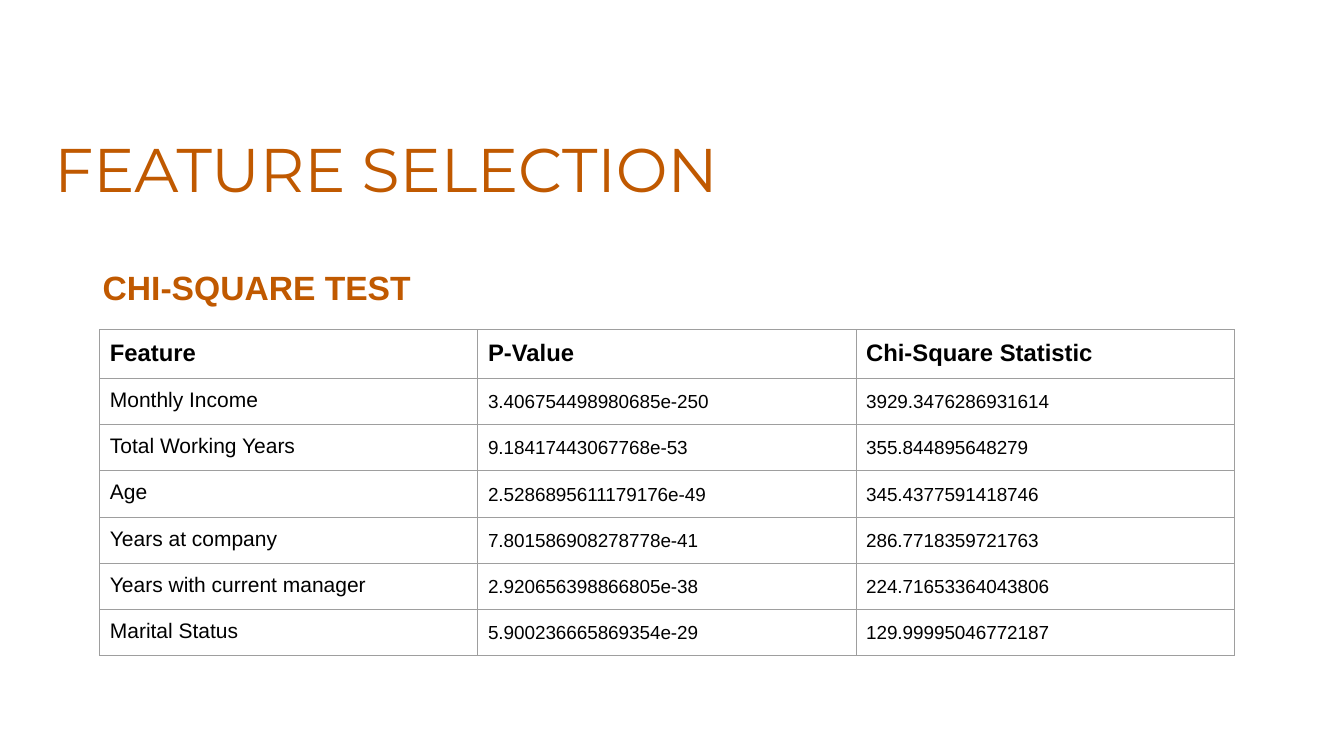
from dataclasses import dataclass
from typing import NamedTuple

from lxml.etree import SubElement
from pptx import Presentation
from pptx.dml.color import RGBColor as RGB
from pptx.enum.text import MSO_ANCHOR as Anchor
from pptx.oxml.ns import qn
from pptx.util import Inches, Pt


@dataclass(frozen=True)
class Theme:
    accent: str = "C05900"
    ink: str = "000000"
    rule: str = "9E9E9E"
    title_font: str = "Montserrat"
    body_font: str = "Arial"
    title_size: float = 44
    subtitle_size: float = 24
    header_size: float = 17
    feature_size: float = 15
    value_size: float = 13.5
    rule_width: float = 0.75


class Heading(NamedTuple):
    text: str
    left: float
    top: float
    width: float
    height: float
    font: str
    size: float
    bold: bool
    line_spacing: float


class TestResult(NamedTuple):
    feature: str
    p_value: str
    statistic: str


THEME = Theme()

HEADINGS = [
    Heading("FEATURE SELECTION", 0.44, 0.64, 11.5, 1.45,
            THEME.title_font, THEME.title_size, False, 0.9),
    Heading("CHI-SQUARE TEST", 0.92, 2.19, 5.64, 0.91,
            THEME.body_font, THEME.subtitle_size, True, 1.5),
]

COLUMN_TITLES = TestResult("Feature", "P-Value", "Chi-Square Statistic")
RESULTS = [
    TestResult("Monthly Income", "3.406754498980685e-250", "3929.3476286931614"),
    TestResult("Total Working Years", "9.18417443067768e-53", "355.844895648279"),
    TestResult("Age", "2.5286895611179176e-49", "345.4377591418746"),
    TestResult("Years at company", "7.801586908278778e-41", "286.7718359721763"),
    TestResult("Years with current manager", "2.920656398866805e-38", "224.71653364043806"),
    TestResult("Marital Status", "5.900236665869354e-29", "129.99995046772187"),
]

TABLE_LEFT, TABLE_TOP = 0.99, 3.27
COLUMN_WIDTH, ROW_HEIGHT = 3.75, 0.42
CELL_MARGIN = 0.1


def style_paragraph(paragraph, font: str, size: float, color: str, bold: bool,
                    line_spacing: float) -> None:
    paragraph.line_spacing = line_spacing
    paragraph.font.name = font
    paragraph.font.size = Pt(size)
    paragraph.font.bold = bold
    paragraph.font.color.rgb = RGB.from_string(color)


def add_heading(slide, heading: Heading) -> None:
    box = slide.shapes.add_textbox(Inches(heading.left), Inches(heading.top),
                                   Inches(heading.width), Inches(heading.height))
    frame = box.text_frame
    frame.word_wrap = True
    frame.vertical_anchor = Anchor.BOTTOM
    frame.text = heading.text
    style_paragraph(frame.paragraphs[0], heading.font, heading.size,
                    THEME.accent, heading.bold, heading.line_spacing)


def add_borders(cell) -> None:
    properties = cell._tc.get_or_add_tcPr()
    for side in ("a:lnL", "a:lnR", "a:lnT", "a:lnB"):
        line = SubElement(properties, qn(side), w=str(Pt(THEME.rule_width)))
        fill = SubElement(line, qn("a:solidFill"))
        SubElement(fill, qn("a:srgbClr"), val=THEME.rule)


def fill_cell(cell, text: str, size: float, bold: bool, line_spacing: float) -> None:
    cell.text = text
    cell.margin_left = cell.margin_right = Inches(CELL_MARGIN)
    cell.margin_top = cell.margin_bottom = Inches(CELL_MARGIN)
    add_borders(cell)
    cell.fill.background()
    style_paragraph(cell.text_frame.paragraphs[0], THEME.body_font, size,
                    THEME.ink, bold, line_spacing)


def add_results_table(slide) -> None:
    rows = [COLUMN_TITLES, *RESULTS]
    column_count = len(COLUMN_TITLES)
    table = slide.shapes.add_table(
        len(rows), column_count, Inches(TABLE_LEFT), Inches(TABLE_TOP),
        Inches(COLUMN_WIDTH * column_count), Inches(ROW_HEIGHT * len(rows))).table
    table.first_row = table.horz_banding = False

    for row_index, result in enumerate(rows):
        for column_index, text in enumerate(result):
            cell = table.cell(row_index, column_index)
            if row_index == 0:
                fill_cell(cell, text, THEME.header_size, True, 1.0)
            elif column_index == 0:
                fill_cell(cell, text, THEME.feature_size, False, 1.0)
            else:
                fill_cell(cell, text, THEME.value_size, False, 1.15)


def main() -> None:
    deck = Presentation()
    deck.slide_width, deck.slide_height = Inches(13.33), Inches(7.5)
    slide = deck.slides.add_slide(deck.slide_layouts[6])

    # Title and subtitle
    for heading in HEADINGS:
        add_heading(slide, heading)

    # Test results
    add_results_table(slide)

    deck.save("out.pptx")


if __name__ == "__main__":
    main()
